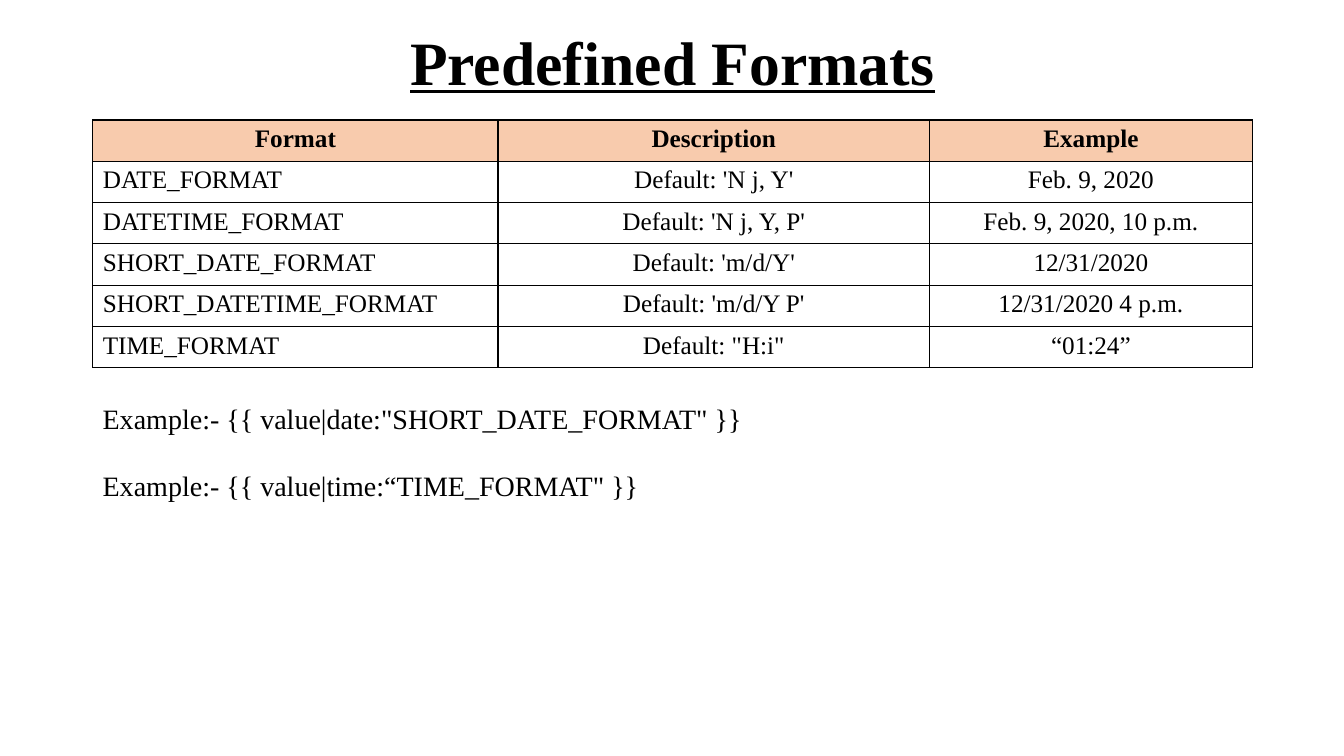
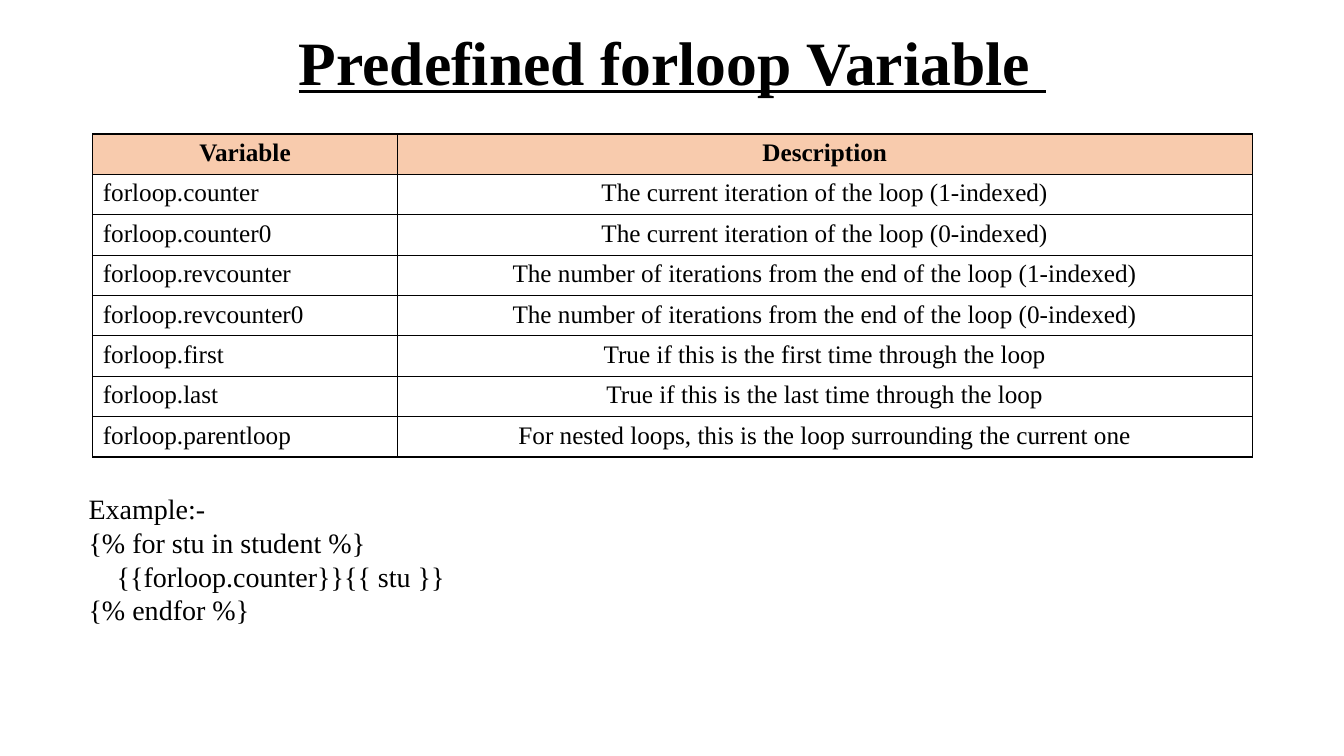
from lxml.etree import SubElement as Sub
from pptx import Presentation
from pptx.dml.color import RGBColor as RGB
from pptx.enum.text import MSO_ANCHOR as Anchor, PP_ALIGN as Align
from pptx.oxml.ns import qn
from pptx.util import Inches, Pt

HUES = {"ink": "000000", "head": "F8CBAD"}
FACE = "Times New Roman"
LEFT, WIDE = 0.92, 11.5


class Deck:
    """Holds the shared style and the current slide."""

    def __init__(self):
        self.prs = Presentation()
        self.prs.slide_width = Inches(13.33)
        self.prs.slide_height = Inches(7.5)
        self.slide = None

    def label(self, para, text, align=Align.LEFT, **form):
        para.alignment = align
        run = para.add_run()
        run.text = text
        for name, value in {"name": FACE, "bold": False, **form}.items():
            setattr(run.font, name, value)
        run.font.color.rgb = RGB.from_string(HUES["ink"])

    def box(self, left, top, wide, high):
        area = map(Inches, (left, top, wide, high))
        frame = self.slide.shapes.add_textbox(*area).text_frame
        frame.word_wrap = True
        return frame

    def page(self, title):
        self.slide = self.prs.slides.add_slide(self.prs.slide_layouts[6])
        frame = self.box(LEFT, 0.1, WIDE, 1.09)
        frame.vertical_anchor = Anchor.MIDDLE
        para = frame.paragraphs[0]
        para.line_spacing = 0.9
        self.label(para, title, Align.CENTER, size=Pt(44), bold=True, underline=True)

    def edge(self, cell):
        props = cell._tc.get_or_add_tcPr()
        for side in ("lnL", "lnR", "lnT", "lnB"):
            line = Sub(props, qn(f"a:{side}"), w=str(Pt(1)))
            fill = Sub(line, qn("a:solidFill"))
            Sub(fill, qn("a:srgbClr"), val=HUES["ink"])

    def table(self, top, cols, step, rows):
        area = map(Inches, (LEFT, top, WIDE, step * len(rows)))
        grid = self.slide.shapes.add_table(len(rows), len(cols), *area).table
        for col, wide in zip(grid.columns, cols):
            col.width = Inches(wide)
        for r, row in enumerate(rows):
            grid.rows[r].height = Inches(step)
            for c, text in enumerate(row):
                cell = grid.cell(r, c)
                self.edge(cell)
                if r == 0:
                    cell.fill.solid()
                    cell.fill.fore_color.rgb = RGB.from_string(HUES["head"])
                else:
                    cell.fill.background()
                align = Align.CENTER if r == 0 or c else Align.LEFT
                para = cell.text_frame.paragraphs[0]
                self.label(para, text, align, size=Pt(18), bold=r == 0)

    def code(self, left, top, high, lines, gap=0):
        frame = self.box(left, top, 7.36, high)
        for i, (text, dent) in enumerate(lines):
            para = frame.add_paragraph() if i else frame.paragraphs[0]
            para.space_before = Pt(gap if i else 0)
            if dent:
                para._p.get_or_add_pPr().set("marL", str(Inches(dent)))
            self.label(para, text, size=Pt(20))


deck = Deck()

deck.page("Predefined Formats")
deck.table(1.19, (4.02, 4.28, 3.2), 0.41, [
    ("Format", "Description", "Example"),
    ("DATE_FORMAT", "Default: 'N j, Y'", "Feb. 9, 2020"),
    ("DATETIME_FORMAT", "Default: 'N j, Y, P'", "Feb. 9, 2020, 10 p.m."),
    ("SHORT_DATE_FORMAT", "Default: 'm/d/Y'", "12/31/2020"),
    ("SHORT_DATETIME_FORMAT", "Default: 'm/d/Y P'", "12/31/2020 4 p.m."),
    ("TIME_FORMAT", 'Default: "H:i"', "“01:24”"),
])
deck.code(LEFT, 3.93, 1.45, [
    ('Example:- {{ value|date:"SHORT_DATE_FORMAT" }}', 0),
    ('Example:- {{ value|time:“TIME_FORMAT" }}', 0),
], gap=24)

deck.page("Predefined forloop Variable ")
deck.table(1.33, (3.02, 8.48), 0.31, [
    ("Variable", "Description"),
    ("forloop.counter", "The current iteration of the loop (1-indexed)"),
    ("forloop.counter0", "The current iteration of the loop (0-indexed)"),
    ("forloop.revcounter",
     "The number of iterations from the end of the loop (1-indexed)"),
    ("forloop.revcounter0",
     "The number of iterations from the end of the loop (0-indexed)"),
    ("forloop.first", "True if this is the first time through the loop"),
    ("forloop.last", "True if this is the last time through the loop"),
    ("forloop.parentloop",
     "For nested loops, this is the loop surrounding the current one"),
])
deck.code(0.78, 4.83, 1.78, [
    ("Example:-", 0),
    ("{% for stu in student %}", 0),
    ("{{forloop.counter}}{{ stu }}", 0.28),
    ("{% endfor %}", 0),
])

deck.prs.save("out.pptx")
